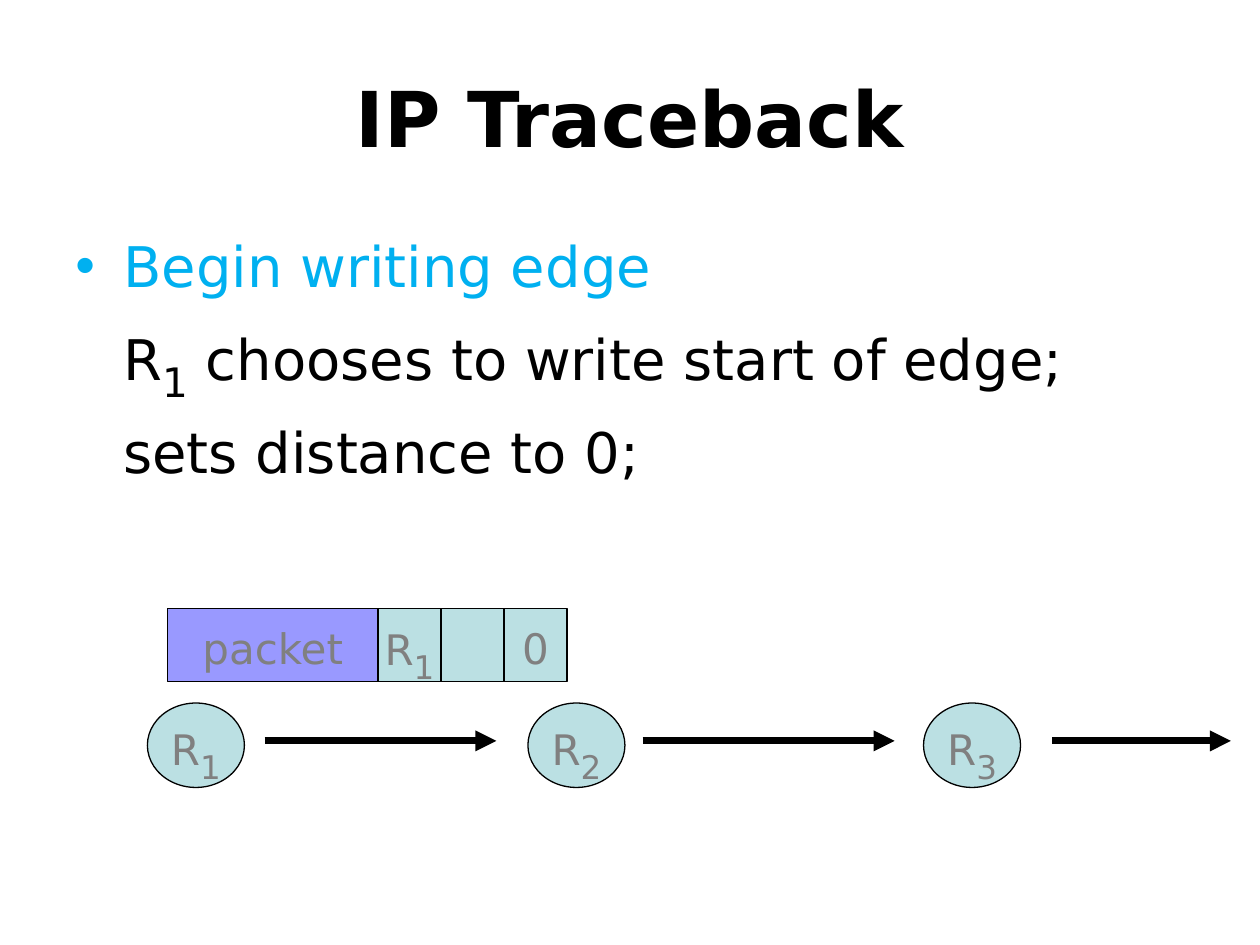
from lxml.etree import SubElement
from pptx import Presentation
from pptx.dml.color import RGBColor
from pptx.enum.shapes import MSO_CONNECTOR, MSO_SHAPE
from pptx.enum.text import MSO_ANCHOR, PP_ALIGN
from pptx.oxml.ns import qn
from pptx.util import Inches, Pt

FONT = "DejaVu Sans"
BLACK, SKY, GREY = "000000", "00B0F0", "808080"
TEAL, VIOLET = "BBE0E3", "9999FF"


def rgb(value):
    return RGBColor.from_string(value)


def set_font(paragraph, size, color, bold=False):
    font = paragraph.font
    font.name, font.size, font.bold = FONT, Pt(size), bold
    font.color.rgb = rgb(color)


def add_words(paragraph, size, words, subscript="", rest=""):
    """Write words, then an optional subscript 8 pt larger, then the rest."""
    paragraph.add_run().text = words
    if subscript:
        run = paragraph.add_run()
        run.text = subscript
        run.font.size = Pt(size + 8)
        run._r.get_or_add_rPr().set("baseline", "-25000")
    if rest:
        paragraph.add_run().text = rest


def add_frame(slide, left, top, width, height):
    box = slide.shapes.add_textbox(
        Inches(left), Inches(top), Inches(width), Inches(height))
    box.text_frame.word_wrap = True
    return box.text_frame


def add_title(slide, title):
    frame = add_frame(slide, 0, 0.3, 10, 1.25)
    frame.vertical_anchor = MSO_ANCHOR.MIDDLE
    paragraph = frame.paragraphs[0]
    paragraph.alignment = PP_ALIGN.CENTER
    add_words(paragraph, 44, title)
    set_font(paragraph, 44, BLACK, bold=True)


def add_body(slide, heading, lines):
    frame = add_frame(slide, 0.5, 1.75, 9.92, 5.75)
    frame.margin_top = Inches(0.09)
    for index, line in enumerate([heading, *lines]):
        paragraph = frame.paragraphs[0] if index == 0 else frame.add_paragraph()
        properties = paragraph._p.get_or_add_pPr()
        properties.set("marL", str(Inches(0.38)))
        if index == 0:
            properties.set("indent", str(Inches(-0.38)))
            SubElement(properties, qn("a:buFont")).set("typeface", "Arial")
            SubElement(properties, qn("a:buChar")).set("char", "•")
        else:
            paragraph.space_before = Pt(6.4)
        add_words(paragraph, 32, *line)
        set_font(paragraph, 32, SKY if index == 0 else BLACK)


def add_node(shapes, kind, left, top, width, height, fill, label):
    node = shapes.add_shape(
        kind, Inches(left), Inches(top), Inches(width), Inches(height))
    node.shadow.inherit = False
    node.fill.solid()
    node.fill.fore_color.rgb = rgb(fill)
    node.line.color.rgb = rgb(BLACK)
    node.line.width = Pt(0.75)
    if label:
        frame = node.text_frame
        frame.word_wrap = False
        frame.margin_top = Inches(0.09)
        frame.vertical_anchor = MSO_ANCHOR.MIDDLE
        paragraph = frame.paragraphs[0]
        paragraph.alignment = PP_ALIGN.CENTER
        add_words(paragraph, 24, *label)
        set_font(paragraph, 24, GREY)


def add_packet(slide, left, fields):
    """Place the packet's fields side by side in one group."""
    packet = slide.shapes.add_group_shape()
    for width, fill, label in fields:
        add_node(packet.shapes, MSO_SHAPE.RECTANGLE,
                 left, 4.83, width, 0.58, fill, label)
        left += width


def add_hop(slide, start, end):
    y = Inches(5.88)
    hop = slide.shapes.add_connector(
        MSO_CONNECTOR.STRAIGHT, Inches(start), y, Inches(end), y)
    hop.line.color.rgb = rgb(BLACK)
    hop.line.width = Pt(4)
    SubElement(hop.line._get_or_add_ln(), qn("a:tailEnd")).set("type", "triangle")
    SubElement(hop._element.spPr, qn("a:effectLst"))


def main():
    deck = Presentation()
    deck.slide_width, deck.slide_height = Inches(10), Inches(7.5)
    slide = deck.slides.add_slide(deck.slide_layouts[6])

    add_body(slide, ("Begin writing edge",), [
        ("R", "1", " chooses to write start of edge;"),
        ("sets distance to 0;",),
    ])
    add_title(slide, "IP Traceback")
    for start, end in [(2.1, 3.94), (5.1, 7.1), (8.35, 9.77)]:
        add_hop(slide, start, end)
    for number, left in enumerate([1.17, 4.19, 7.33], start=1):
        add_node(slide.shapes, MSO_SHAPE.OVAL,
                 left, 5.58, 0.77, 0.67, TEAL, ("R", str(number)))
    add_packet(slide, 1.33, [
        (1.67, VIOLET, ("packet",)),
        (0.5, TEAL, ("R", "1")),
        (0.5, TEAL, None),
        (0.5, TEAL, ("0",)),
    ])
    deck.save("out.pptx")


if __name__ == "__main__":
    main()
